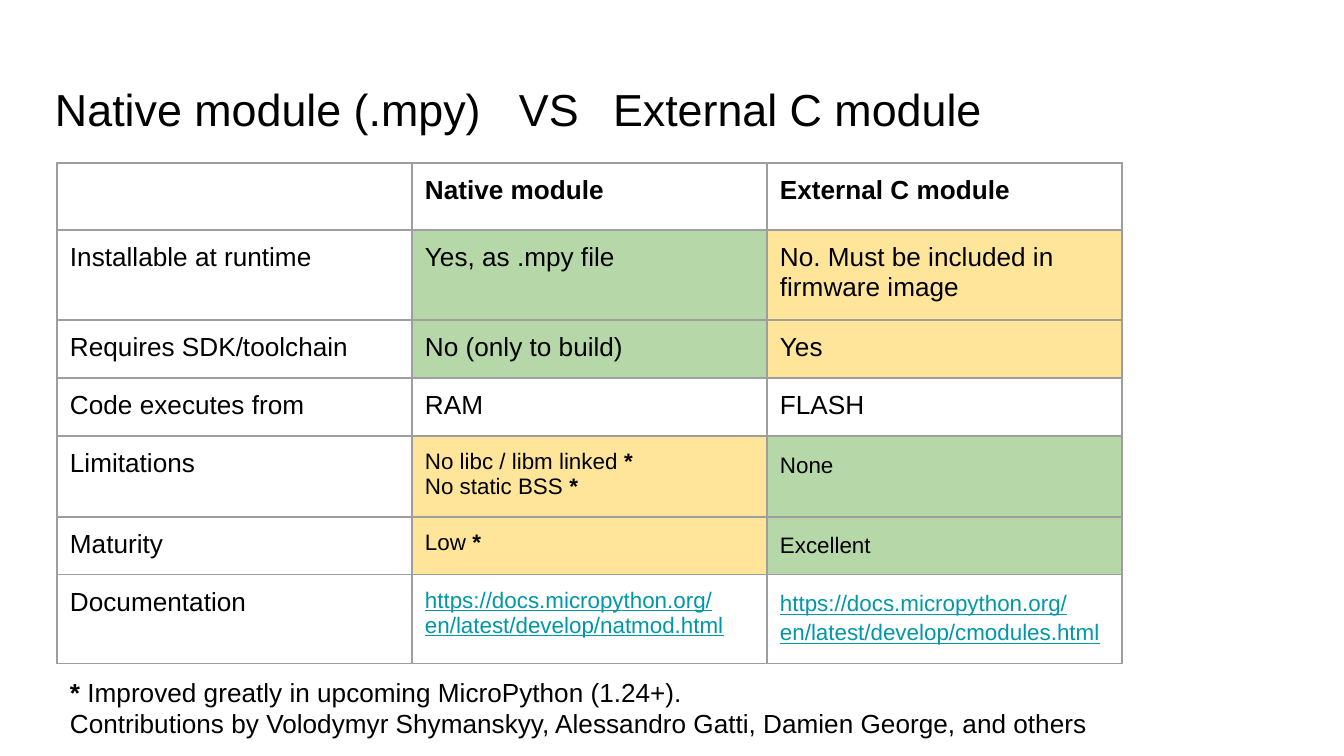
from dataclasses import dataclass

import pptx
import pptx.dml.color
import pptx.enum.text
import pptx.oxml.ns
import pptx.util
from lxml import etree

EMU_PER_PX = 914400 / 134.4
FONT = "Arial"
COLORS = {
    "text": "000000",
    "link": "0097A7",
    "border": "9E9E9E",
    "plain": "FFFFFF",
    "good": "B6D7A8",
    "caution": "FFE599",
}
COLUMN_WIDTH = 355
ROW_HEIGHTS = [67, 90, 58, 58, 81, 58, 89]
CELL_MARGIN = 13


@dataclass
class Entry:
    text: str = ""
    fill: str = "plain"
    size: int = 14
    bold: bool = False
    link: bool = False
    loose: bool = False  # wider lines, with space after


ROWS = [
    [Entry(size=18), Entry("Native module", bold=True), Entry("External C module", bold=True)],
    [Entry("Installable at runtime"), Entry("Yes, as .mpy file", "good"),
     Entry("No. Must be included in firmware image", "caution")],
    [Entry("Requires SDK/toolchain"), Entry("No (only to build)", "good"), Entry("Yes", "caution")],
    [Entry("Code executes from"), Entry("RAM"), Entry("FLASH")],
    [Entry("Limitations"), Entry("No libc / libm linked *\nNo static BSS *", "caution", 12),
     Entry("None", "good", 12, loose=True)],
    [Entry("Maturity"), Entry("Low *", "caution", 12), Entry("Excellent", "good", 12, loose=True)],
    [Entry("Documentation"),
     Entry("https://docs.micropython.org/\nen/latest/develop/natmod.html", size=12, link=True),
     Entry("https://docs.micropython.org/\nen/latest/develop/cmodules.html", size=12,
           link=True, loose=True)],
]
FOOTNOTE = Entry("* Improved greatly in upcoming MicroPython (1.24+).\n"
                 "Contributions by Volodymyr Shymanskyy, Alessandro Gatti, Damien George, and others")


def px(length: int) -> pptx.util.Emu:
    return pptx.util.Emu(round(length * EMU_PER_PX))


def rgb(name: str) -> pptx.dml.color.RGBColor:
    return pptx.dml.color.RGBColor.from_string(COLORS[name])


def set_font(paragraph, size: int, color: str = "text", bold: bool = False) -> None:
    font = paragraph.font
    font.name, font.size, font.bold = FONT, pptx.util.Pt(size), bold
    font.color.rgb = rgb(color)


def write_entry(paragraph, entry: Entry) -> None:
    """Write the lines of an entry, with every asterisk in bold."""
    if entry.loose:
        paragraph.line_spacing = 1.15
        paragraph.space_after = pptx.util.Pt(12)
    set_font(paragraph, entry.size, "link" if entry.link else "text", entry.bold)
    if entry.link:
        paragraph.font.underline = True
    for number, line in enumerate(entry.text.split("\n")):
        if number:
            paragraph.add_line_break()
        before, star, after = line.partition("*")
        for part in filter(None, (before, star, after)):
            run = paragraph.add_run()
            run.text = part
            if part == "*":
                run.font.bold = True


def set_margins(box, horizontal: int, vertical: int) -> None:
    box.margin_left = box.margin_right = px(horizontal)
    box.margin_top = box.margin_bottom = px(vertical)


def draw_borders(cell) -> None:
    properties = cell._tc.get_or_add_tcPr()
    qn = pptx.oxml.ns.qn
    for position, side in enumerate(("a:lnL", "a:lnR", "a:lnT", "a:lnB")):
        line = etree.Element(qn(side), w=str(pptx.util.Pt(0.75)))
        fill = etree.SubElement(line, qn("a:solidFill"))
        etree.SubElement(fill, qn("a:srgbClr"), val=COLORS["border"])
        properties.insert(position, line)


def add_title(slide) -> None:
    title = slide.shapes.title
    title.left, title.top, title.width, title.height = px(46), px(82), px(1138), px(59)
    frame = title.text_frame
    set_margins(frame, 9, 5)
    frame.vertical_anchor = pptx.enum.text.MSO_ANCHOR.MIDDLE
    frame.text = "Native module (.mpy)\tVS\tExternal C module"
    paragraph = frame.paragraphs[0]
    paragraph.alignment = pptx.enum.text.PP_ALIGN.LEFT
    paragraph.line_spacing = 0.9
    # Tab stops set the gaps around "VS"
    qn = pptx.oxml.ns.qn
    stops = etree.SubElement(paragraph._p.get_or_add_pPr(), qn("a:tabLst"))
    for stop in (464, 558):
        etree.SubElement(stops, qn("a:tab"), pos=str(px(stop)), algn="l")
    set_font(paragraph, 24)


def add_comparison(slide) -> None:
    columns = len(ROWS[0])
    table = slide.shapes.add_table(len(ROWS), columns, px(57), px(163),
                                   px(COLUMN_WIDTH * columns), px(sum(ROW_HEIGHTS))).table
    table.first_row = table.horz_banding = False
    for column in table.columns:
        column.width = px(COLUMN_WIDTH)
    for row, height, entries in zip(table.rows, ROW_HEIGHTS, ROWS):
        row.height = px(height)
        for cell, entry in zip(row.cells, entries):
            set_margins(cell, CELL_MARGIN, CELL_MARGIN)
            cell.fill.solid()
            cell.fill.fore_color.rgb = rgb(entry.fill)
            draw_borders(cell)
            write_entry(cell.text_frame.paragraphs[0], entry)


def add_footnote(slide) -> None:
    frame = slide.shapes.add_textbox(px(57), px(663), px(1228), px(90)).text_frame
    frame.word_wrap = True
    set_margins(frame, CELL_MARGIN, CELL_MARGIN)
    write_entry(frame.paragraphs[0], FOOTNOTE)


def main() -> None:
    presentation = pptx.Presentation()
    presentation.slide_width, presentation.slide_height = px(1344), px(756)
    slide = presentation.slides.add_slide(presentation.slide_layouts[5])
    add_title(slide)
    add_comparison(slide)
    add_footnote(slide)
    presentation.save("out.pptx")


if __name__ == "__main__":
    main()
